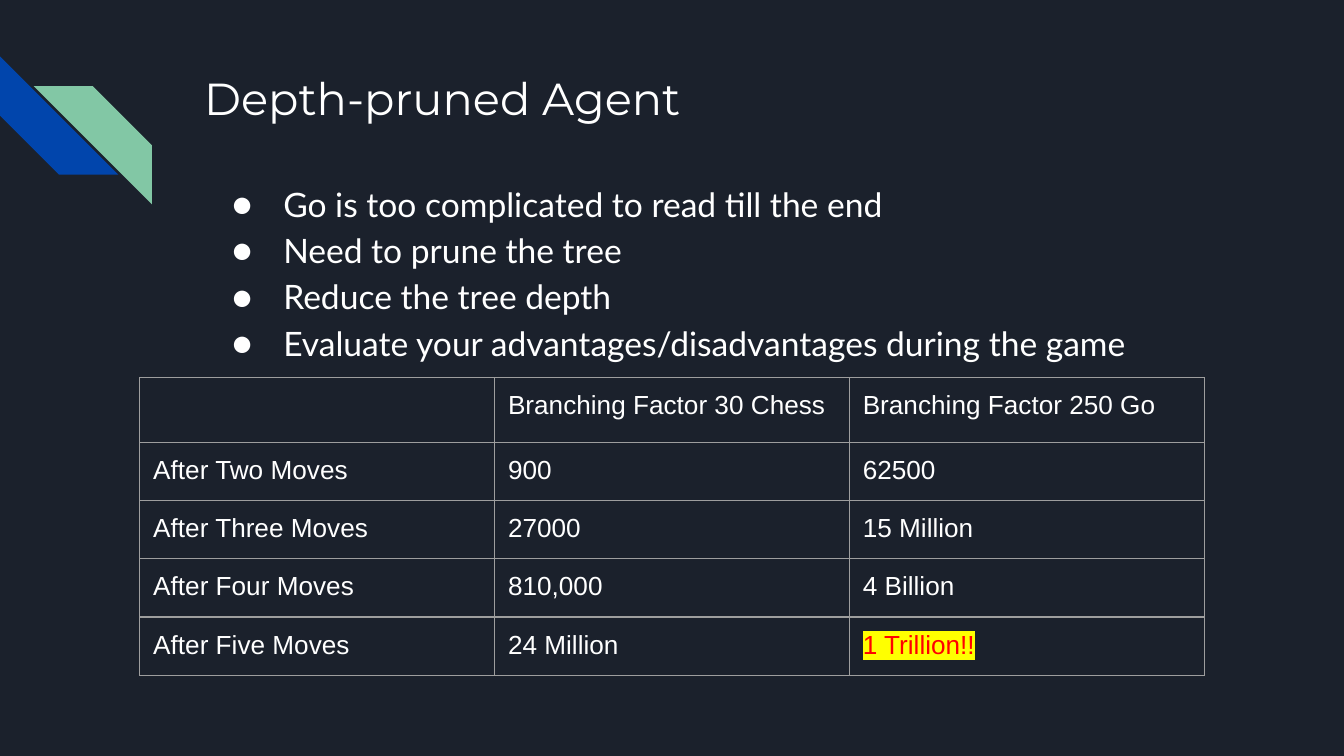
import pptx
import pptx.dml.color
import pptx.enum.shapes
import pptx.oxml
import pptx.oxml.ns
import pptx.util

RGBColor = pptx.dml.color.RGBColor
Inches = pptx.util.Inches
Pt = pptx.util.Pt

NAVY = RGBColor(0x1B, 0x21, 0x2C)
BLUE = RGBColor(0x01, 0x45, 0xAC)
GREEN = RGBColor(0x82, 0xC7, 0xA5)
WHITE = RGBColor(0xFF, 0xFF, 0xFF)
GREY = RGBColor(0x9E, 0x9E, 0x9E)
RED = RGBColor(0xFF, 0x00, 0x00)
YELLOW = RGBColor(0xFF, 0xFF, 0x00)

TITLE = "Depth-pruned Agent"
BULLETS = [
    "Go is too complicated to read till the end",
    "Need to prune the tree",
    "Reduce the tree depth",
    "Evaluate your advantages/disadvantages during the game",
]
PUNCHLINE = "1 Trillion!!"
GROWTH = [
    ("", "Branching Factor 30 Chess", "Branching Factor 250 Go"),
    ("After Two Moves", "900", "62500"),
    ("After Three Moves", "27000", "15 Million"),
    ("After Four Moves", "810,000", "4 Billion"),
    ("After Five Moves", "24 Million", PUNCHLINE),
]

# left, top, colour, rotation, mirrored
STRIPES = [(0, 0.42, BLUE, 270, False), (0.25, 0.64, GREEN, 0, True)]
STRIPE_SIZE = 0.88
SLIDE_W = 10
SLIDE_H = SLIDE_W * 9 / 16
TITLE_BOX = (1.42, 0.43, 7.7, 1)
BULLET_BOX = (1.51, 1.22, 7.7, 3.18)
TABLE_LEFT, TABLE_TOP = 1.04, 2.81
COLUMN_W, HEADER_H, ROW_H = 2.64, 0.48, 0.42
MARGINS = dict.fromkeys(
    ("margin_left", "margin_top", "margin_right", "margin_bottom"), Inches(0.1))

TITLE_FORMAT = {"name": "Montserrat", "size": Pt(24)}
BULLET_FORMAT = {"name": "Lato", "size": Pt(18)}
CELL_FORMAT = {"name": "Arial", "size": Pt(14)}


def assign(target, values):
    for key, value in values.items():
        setattr(target, key, value)


def style(font, values, color=WHITE):
    assign(font, values)
    font.color.rgb = color


def a_element(tag, attributes="", content=""):
    """Build one element of the drawing namespace."""
    namespace = pptx.oxml.ns.nsdecls("a")
    return pptx.oxml.parse_xml(
        f"<a:{tag} {namespace} {attributes}>{content}</a:{tag}>")


def rgb_xml(color):
    return f'<a:srgbClr val="{color}"/>'


def add_stripe(slide, left, top, color, rotation, mirrored):
    stripe = slide.shapes.add_shape(
        pptx.enum.shapes.MSO_SHAPE.DIAGONAL_STRIPE,
        *map(Inches, (left, top, STRIPE_SIZE, STRIPE_SIZE)))
    stripe.adjustments[0] = 0.5
    stripe.shadow.inherit = False
    stripe.fill.solid()
    stripe.fill.fore_color.rgb = color
    stripe.line.fill.background()
    stripe.rotation = rotation
    if mirrored:
        stripe.element.spPr.xfrm.set("flipH", "1")


def add_bullet(paragraph):
    properties = paragraph._p.get_or_add_pPr()
    properties.set("marL", str(Inches(0.5)))
    properties.set("indent", str(Inches(-0.38)))
    properties.append(a_element("buClr", content=rgb_xml(WHITE)))
    properties.append(a_element("buSzPts", 'val="1800"'))
    properties.append(a_element("buFont", f'typeface="{BULLET_FORMAT["name"]}"'))
    properties.append(a_element("buChar", 'char="●"'))
    paragraph.line_spacing = 1.15


def add_text(slide, box, lines, font_format, bulleted=False):
    frame = slide.shapes.add_textbox(*map(Inches, box)).text_frame
    assign(frame, {"word_wrap": True, **MARGINS})
    frame.text = "\n".join(lines)
    for paragraph in frame.paragraphs:
        if bulleted:
            add_bullet(paragraph)
        style(paragraph.runs[0].font, font_format)


def add_borders(cell):
    line = f"<a:solidFill>{rgb_xml(GREY)}</a:solidFill>"
    for side in ("lnL", "lnR", "lnT", "lnB"):
        cell._tc.get_or_add_tcPr().append(
            a_element(side, f'w="{Pt(0.75)}"', line))


def highlight(run):
    fill = run.font._element.find(pptx.oxml.ns.qn("a:solidFill"))
    fill.addnext(a_element("highlight", content=rgb_xml(YELLOW)))


def fill_cell(cell, text):
    assign(cell, MARGINS)
    add_borders(cell)
    cell.fill.background()
    paragraph = cell.text_frame.paragraphs[0]
    if not text:
        # keeps the blank cell from stretching its row
        paragraph._p.append(a_element("endParaRPr", 'sz="1400"'))
        return
    run = paragraph.add_run()
    run.text = text
    style(run.font, CELL_FORMAT, RED if text == PUNCHLINE else WHITE)
    if text == PUNCHLINE:
        highlight(run)


def add_growth_table(slide):
    heights = [HEADER_H] + [ROW_H] * (len(GROWTH) - 1)
    columns = len(GROWTH[0])
    table = slide.shapes.add_table(
        len(GROWTH), columns,
        *map(Inches, (TABLE_LEFT, TABLE_TOP, COLUMN_W * columns, sum(heights)))).table
    assign(table, {"first_row": False, "horz_banding": False})
    for column in table.columns:
        column.width = Inches(COLUMN_W)
    for row, height, texts in zip(table.rows, heights, GROWTH):
        row.height = Inches(height)
        for cell, text in zip(row.cells, texts):
            fill_cell(cell, text)


def main():
    deck = pptx.Presentation()
    assign(deck, {"slide_width": Inches(SLIDE_W), "slide_height": Inches(SLIDE_H)})
    slide = deck.slides.add_slide(deck.slide_layouts[6])
    slide.background.fill.solid()
    slide.background.fill.fore_color.rgb = NAVY
    for stripe in STRIPES:
        add_stripe(slide, *stripe)
    add_text(slide, TITLE_BOX, [TITLE], TITLE_FORMAT)
    add_text(slide, BULLET_BOX, BULLETS, BULLET_FORMAT, bulleted=True)
    add_growth_table(slide)
    deck.save("out.pptx")


if __name__ == "__main__":
    main()
